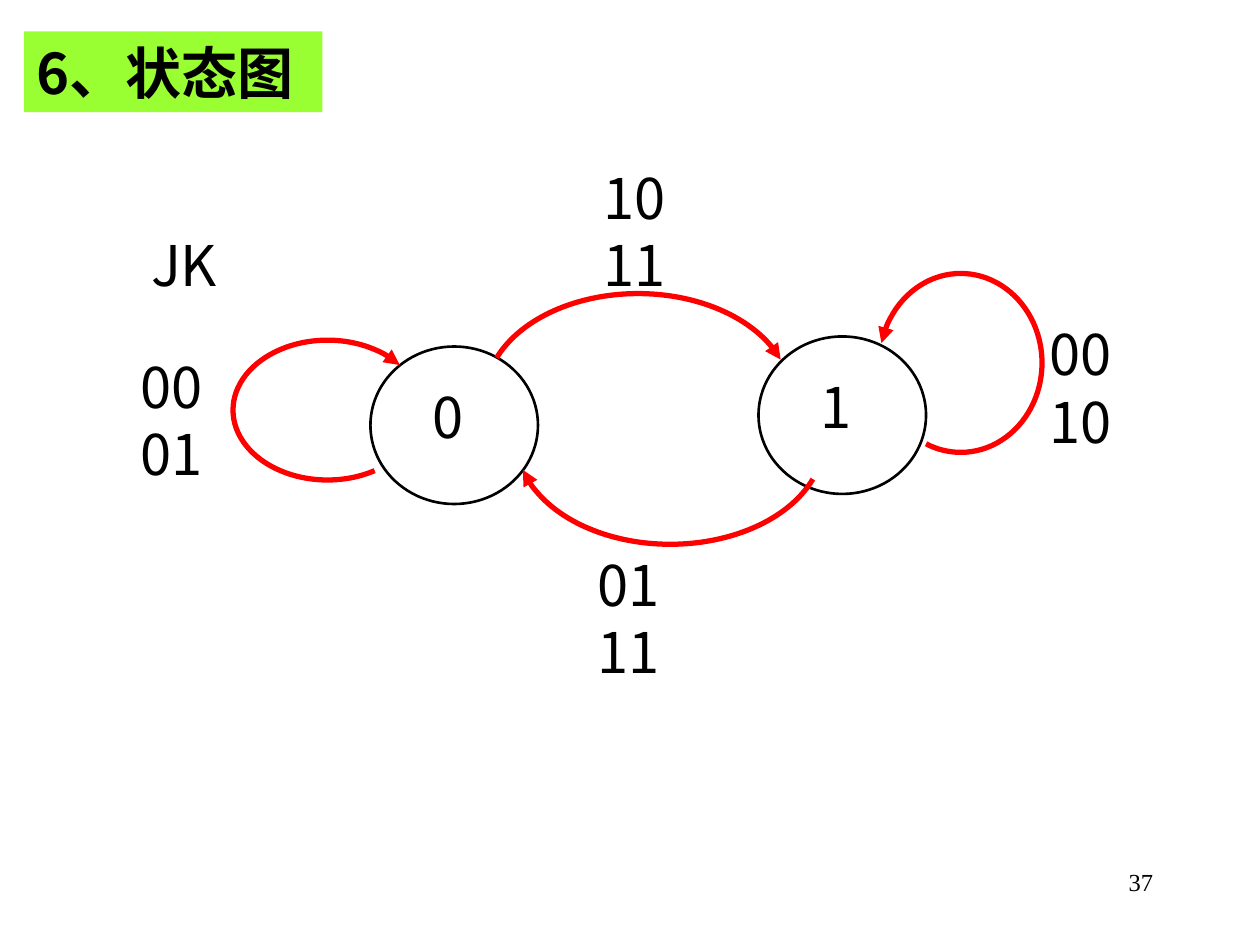
from typing import NamedTuple

from lxml.etree import SubElement
from pptx import Presentation
from pptx.dml.color import RGBColor
from pptx.enum.shapes import MSO_SHAPE
from pptx.enum.text import PP_ALIGN
from pptx.oxml.ns import qn
from pptx.util import Inches, Pt

BLACK = RGBColor(0x00, 0x00, 0x00)
RED = RGBColor(0xFF, 0x00, 0x00)
GREEN = RGBColor(0x99, 0xFF, 0x33)
SANS = "Noto Sans CJK SC"
SERIF = "Times New Roman"

# The slide is a grid of 100 columns and 75 rows of square cells.
COLUMNS, ROWS = 100, 75
CELL = Inches(0.1)
LINE_HEIGHT = 5.3
TEXT_MARGIN = 0.5


class Box(NamedTuple):
    left: float
    top: float
    width: float
    height: float

    def within(self, left, top, width, height):
        """Return a box placed relative to this one."""
        return Box(self.left + left, self.top + top, width, height)

    def lengths(self):
        return [round(cells * CELL) for cells in self]


def write_text(shape, lines, font_name=SANS, size=32, bold=False,
               align=PP_ALIGN.LEFT, wrap=True):
    text_frame = shape.text_frame
    text_frame.word_wrap = wrap
    text_frame.text = "\n".join(lines)
    for paragraph in text_frame.paragraphs:
        paragraph.alignment = align
        for run in paragraph.runs:
            run.font.name = font_name
            run.font.size = Pt(size)
            run.font.bold = bold
            run.font.color.rgb = BLACK
            east_asian = SubElement(run.font._element, qn("a:ea"))
            east_asian.set("typeface", font_name)


def add_label(slide, box, lines, **style):
    write_text(slide.shapes.add_textbox(*box.lengths()), lines, **style)


def add_title(slide, box, title):
    banner = slide.shapes.add_shape(MSO_SHAPE.RECTANGLE, *box.lengths())
    banner.shadow.inherit = False
    banner.fill.solid()
    banner.fill.fore_color.rgb = GREEN
    banner.line.fill.background()
    write_text(banner, [title], bold=True)


def add_state(slide, box, name):
    circle = slide.shapes.add_shape(MSO_SHAPE.OVAL, *box.lengths())
    circle.shadow.inherit = False
    circle.fill.background()
    circle.line.color.rgb = BLACK
    circle.line.width = Pt(1.5)
    add_label(slide, box.within(3.95, 2.4, 4.7, 6.4), [name], wrap=False)


def add_transition(slide, box, start, end, arrow_end, label_offset, inputs):
    """Draw a clockwise arc of the box's ellipse, in degrees, and its inputs."""
    arc = slide.shapes.add_shape(MSO_SHAPE.ARC, *box.lengths())
    arc.shadow.inherit = False
    for index, degrees in enumerate((start, end)):
        arc.adjustments[index] = degrees * 0.6  # in units of 100000/60000 degree
    arc.fill.background()
    arc.line.color.rgb = RED
    arc.line.width = Pt(3)
    SubElement(arc.line._get_or_add_ln(), qn(arrow_end)).set("type", "triangle")
    height = len(inputs) * LINE_HEIGHT + 2 * TEXT_MARGIN
    add_label(slide, box.within(*label_offset, 7.3, height), inputs, wrap=False)


def add_state_diagram(slide, box):
    states = [("1", 50, 8.9), ("0", 19.2, 9.7)]
    for name, left, top in states:
        add_state(slide, box.within(left, top, 13.3, 12.5), name)

    add_label(slide, box.within(0.8, 0, 13.1, 6.4), ["JK"])

    transitions = [
        ((8.3, 9.2, 15, 11.1), 52.1, 328.1, "a:tailEnd", (-8.3, 0.5), ["00", "01"]),
        ((28.3, 5.5, 24.3, 16.5), 195.7, 345.1, "a:tailEnd", (8.4, -10.8), ["10", "11"]),
        ((59.6, 3.9, 12.9, 14.2), 194, 113.2, "a:headEnd", (12.5, 3.2), ["00", "10"]),
        ((30.8, 8.9, 24.4, 16.5), 15.2, 168.7, "a:tailEnd", (5.4, 16.5), ["01", "11"]),
    ]
    for place, *details in transitions:
        add_transition(slide, box.within(*place), *details)


def main():
    presentation = Presentation()
    presentation.slide_width = COLUMNS * CELL
    presentation.slide_height = ROWS * CELL
    slide = presentation.slides.add_slide(presentation.slide_layouts[6])

    add_state_diagram(slide, Box(10.2, 17.8, 79.4, 37.1))
    add_title(slide, Box(1.9, 2.5, 23.7, 6.4), "6、状态图")
    add_label(slide, Box(71.7, 68.3, 20.8, 5), ["37"],
              font_name=SERIF, size=14, align=PP_ALIGN.RIGHT)

    presentation.save("out.pptx")


if __name__ == "__main__":
    main()
